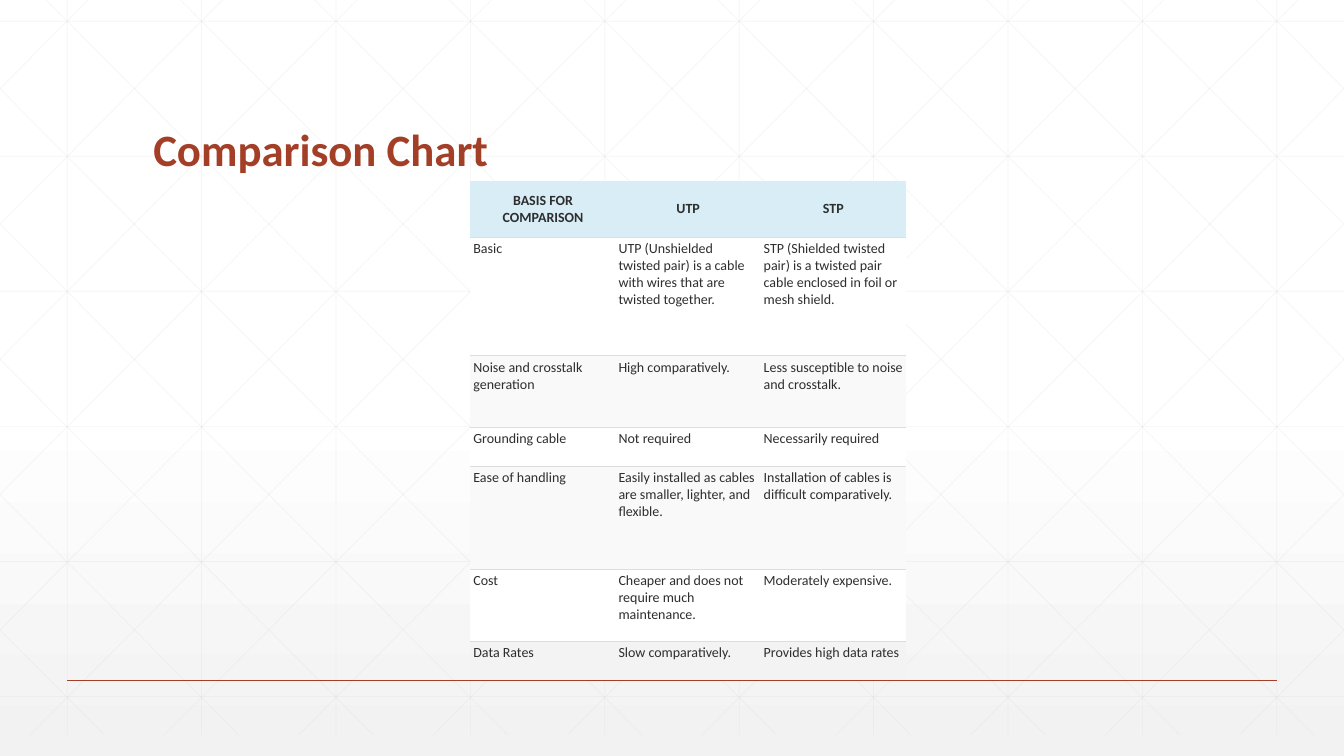
from lxml.etree import SubElement
from pptx import Presentation
from pptx.dml.color import RGBColor
from pptx.enum.shapes import MSO_CONNECTOR
from pptx.enum.text import MSO_ANCHOR, MSO_AUTO_SIZE, PP_ALIGN
from pptx.oxml import parse_xml
from pptx.oxml.ns import nsdecls, qn
from pptx.util import Inches, Pt

WIDTH, HEIGHT = 13.33, 7.5
COLUMN = WIDTH / 10
GRID_TOP, GRID_BOTTOM = -0.21, 7.29
GRID_ROW = 1.34
DIAGONAL_START, DIAGONAL_RUN = 0.25, 7.45
CELL_INSET = 0.03
PLAIN_TABLE_STYLE = "{2D5ABB26-0587-4C30-8999-92F81FD0307C}"
COLORS = {
    "white": "FFFFFF",
    "shade": "F2F2F2",
    "grid": "D9D9D9",
    "accent": "A43F27",
    "text": "2D2E2D",
    "border": "DDDDDD",
    "header": "D9EDF7",
    "band": "F9F9F9",
    "last": "F3F3F3",
}
ROW_FILLS = ["header", "white", "band", "white", "band", "white", "last"]
ROW_HEIGHTS = [0.55, 1.18, 0.71, 0.39, 1.02, 0.71, 0.39]
COMPARISON = [
    ("BASIS FOR COMPARISON", "UTP", "STP"),
    ("Basic",
     "UTP (Unshielded twisted pair) is a cable with wires that are twisted together.",
     "STP (Shielded twisted pair) is a twisted pair cable enclosed in foil or mesh shield."),
    ("Noise and crosstalk generation", "High comparatively.",
     "Less susceptible to noise and crosstalk."),
    ("Grounding cable", "Not required", "Necessarily required"),
    ("Ease of handling",
     "Easily installed as cables are smaller, lighter, and flexible.",
     "Installation of cables is difficult comparatively."),
    ("Cost", "Cheaper and does not require much maintenance.", "Moderately expensive."),
    ("Data Rates", "Slow comparatively.", "Provides high data rates"),
]


def color(name):
    """Return the named colour."""
    return RGBColor.from_string(COLORS[name])


def write_text(frame, text, size=10, color_name="text", bold=False,
               align=PP_ALIGN.LEFT, spacing=1.0):
    """Write one formatted paragraph into a text frame."""
    frame.word_wrap = True
    paragraph = frame.paragraphs[0]
    paragraph.alignment = align
    paragraph.line_spacing = spacing
    run = paragraph.add_run()
    run.text = text
    run.font.name = "Calibri"
    run.font.size = Pt(size)
    run.font.bold = bold
    run.font.color.rgb = color(color_name)


def add_line(slide, start, end, color_name="grid", width=0.5, opacity=25):
    """Draw a flat straight line between two points in inches."""
    points = [Inches(value) for value in (*start, *end)]
    connector = slide.shapes.add_connector(MSO_CONNECTOR.STRAIGHT, *points)
    connector.line.width = Pt(width)
    connector.line.color.rgb = color(color_name)
    if opacity < 100:
        for tint in connector.element.iter(qn("a:srgbClr")):
            SubElement(tint, qn("a:alpha")).set("val", str(opacity * 1000))
    SubElement(connector.element.spPr, qn("a:effectLst"))


def add_background(slide):
    """Fill the slide with a white to light grey gradient."""
    fill = slide.background.fill
    fill.gradient()
    fill.gradient_angle = 270
    stops = [(0.53, "white"), (1, "shade")]
    for stop, (position, name) in zip(fill.gradient_stops, stops):
        stop.position = position
        stop.color.rgb = color(name)


def add_grid(slide):
    """Draw the upright, level and crossing lines of the backdrop."""
    for index in range(10):
        x = (index + 0.5) * COLUMN
        add_line(slide, (x, GRID_TOP), (x, GRID_BOTTOM))
    for index in range(6):
        y = 0.21 + index * GRID_ROW
        add_line(slide, (0, y), (WIDTH, y))
    slope = (GRID_BOTTOM - GRID_TOP) / DIAGONAL_RUN
    for index in range(-5, 10):
        origin = DIAGONAL_START + index * COLUMN
        left, right = max(origin, 0), min(origin + DIAGONAL_RUN, WIDTH)
        upper, lower = (GRID_TOP + (x - origin) * slope for x in (left, right))
        add_line(slide, (left, upper), (right, lower))
        add_line(slide, (WIDTH - left, upper), (WIDTH - right, lower))


def add_title(slide, text):
    """Place and format the title placeholder in front of the grid."""
    title = slide.shapes.title
    title.left, title.top = Inches(1.42), Inches(0.55)
    title.width, title.height = Inches(10.5), Inches(1.25)
    frame = title.text_frame
    frame.auto_size = MSO_AUTO_SIZE.NONE
    frame.vertical_anchor = MSO_ANCHOR.BOTTOM
    write_text(frame, text, size=32, color_name="accent", bold=True, spacing=0.9)
    title.element.getparent().append(title.element)


def add_top_border(cell):
    """Give a table cell a thin upper border."""
    border = parse_xml(
        f'<a:lnT {nsdecls("a")} w="{Pt(0.6)}"><a:solidFill>'
        f'<a:srgbClr val="{COLORS["border"]}"/></a:solidFill></a:lnT>')
    cell._tc.get_or_add_tcPr().insert(0, border)


def format_cell(cell, text, fill_name, is_header):
    """Fill a table cell with its text, colour and border."""
    cell.margin_left = cell.margin_right = Inches(CELL_INSET)
    cell.margin_top = cell.margin_bottom = Inches(CELL_INSET)
    cell.vertical_anchor = MSO_ANCHOR.MIDDLE if is_header else MSO_ANCHOR.TOP
    cell.fill.solid()
    cell.fill.fore_color.rgb = color(fill_name)
    write_text(cell.text_frame, text, bold=is_header,
               align=PP_ALIGN.CENTER if is_header else PP_ALIGN.LEFT)
    if not is_header:
        add_top_border(cell)


def add_comparison_table(slide):
    """Add the cable comparison table."""
    frame = slide.shapes.add_table(
        len(COMPARISON), 3, Inches(3.5 * COLUMN), Inches(1.8),
        Inches(4.32), Inches(sum(ROW_HEIGHTS)))
    for style in frame.element.iter(qn("a:tableStyleId")):
        style.text = PLAIN_TABLE_STYLE
    table = frame.table
    table.horz_banding = False
    for index, (texts, height, fill_name) in enumerate(
            zip(COMPARISON, ROW_HEIGHTS, ROW_FILLS)):
        row = table.rows[index]
        row.height = Inches(height)
        for cell, text in zip(row.cells, texts):
            format_cell(cell, text, fill_name, is_header=index == 0)


def main():
    """Build and save the slide."""
    presentation = Presentation()
    presentation.slide_width = Inches(WIDTH)
    presentation.slide_height = Inches(HEIGHT)
    slide = presentation.slides.add_slide(presentation.slide_layouts[5])
    add_background(slide)
    add_grid(slide)
    rule_y = 0.9 * HEIGHT
    add_line(slide, (COLUMN / 2, rule_y), (WIDTH - COLUMN / 2, rule_y),
             color_name="accent", width=1, opacity=100)
    add_title(slide, "Comparison Chart")
    add_comparison_table(slide)
    presentation.save("out.pptx")


if __name__ == "__main__":
    main()
